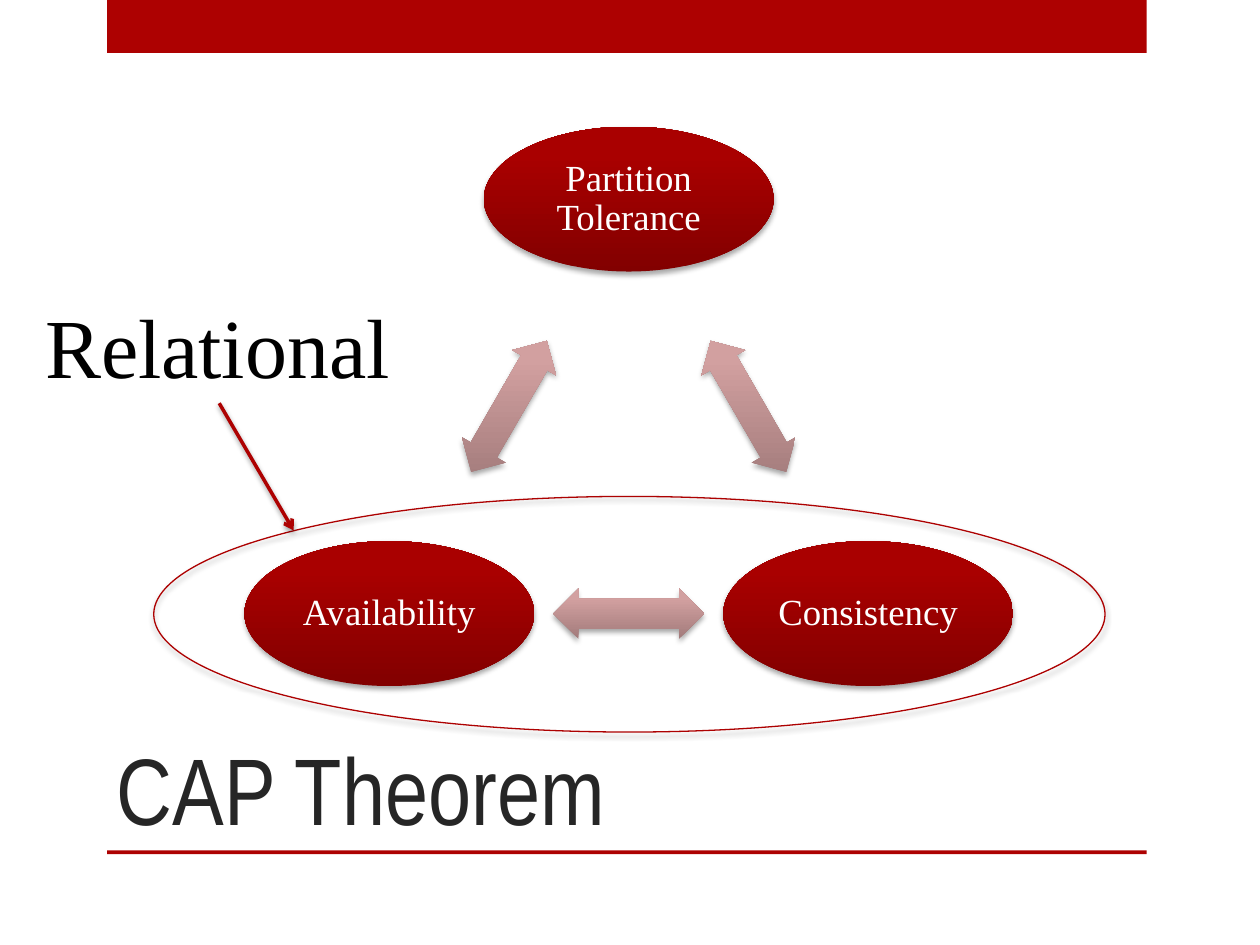
import math
import pptx
import pptx.util
import pptx.dml.color
import pptx.enum.shapes
import pptx.enum.text
import pptx.oxml
import pptx.oxml.ns

Inches = pptx.util.Inches
Pt = pptx.util.Pt
SHAPE = pptx.enum.shapes.MSO_SHAPE
ANCHOR = pptx.enum.text.MSO_ANCHOR
ALIGN = pptx.enum.text.PP_ALIGN
NS = pptx.oxml.ns.nsdecls("a")

COLORS = {
    "red": "AD0101", "ink": "262626", "black": "000000", "white": "FFFFFF",
    "deep": "820000", "bright": "A90000",
    "dusk": "A27B7B", "rose": "D2A0A0", "blush": "D4A0A0",
}


class Deck:
    """Holds the style and the current slide."""

    serif = "Times New Roman"
    narrow = "Arial Narrow"

    def __init__(self, width, height):
        self.file = pptx.Presentation()
        self.file.slide_width = Inches(width)
        self.file.slide_height = Inches(height)
        self.slide = self.file.slides.add_slide(self.file.slide_layouts[6])

    def color(self, name):
        return pptx.dml.color.RGBColor.from_string(COLORS[name])

    def shade(self, shape, alpha=35, drop=1.8):
        """Soft shadow straight below the shape."""
        shape._element.spPr.append(pptx.oxml.parse_xml(
            f'<a:effectLst {NS}><a:outerShdw blurRad="{Pt(3.1)}" dist="{Pt(drop)}" '
            f'dir="5400000" rotWithShape="0"><a:srgbClr val="{COLORS["black"]}">'
            f'<a:alpha val="{alpha * 1000}"/></a:srgbClr></a:outerShdw></a:effectLst>'))

    def blend(self, shape, names):
        """Gradient from bottom to top that stays upright when turned."""
        stops = "".join(
            f'<a:gs pos="{spot * 1000}"><a:srgbClr val="{COLORS[name]}"/></a:gs>'
            for spot, name in zip((0, 80, 100), names))
        shape._element.spPr.find(pptx.oxml.ns.qn("a:prstGeom")).addnext(
            pptx.oxml.parse_xml(
                f'<a:gradFill {NS} rotWithShape="0"><a:gsLst>{stops}</a:gsLst>'
                f'<a:lin ang="16200000" scaled="0"/></a:gradFill>'))

    def shape(self, kind, left, top, width, height):
        item = self.slide.shapes.add_shape(
            kind, Inches(left), Inches(top), Inches(width), Inches(height))
        item.line.fill.background()
        return item

    def bar(self, left, top, width, height):
        item = self.shape(SHAPE.RECTANGLE, left, top, width, height)
        item.shadow.inherit = False
        item.fill.solid()
        item.fill.fore_color.rgb = self.color("red")

    def words(self, para, text, size, font, color):
        run = para.add_run()
        run.text = text
        run.font.size = Pt(size)
        run.font.name = font
        run.font.color.rgb = self.color(color)

    def label(self, text, left, top, width, height, size, font, color,
              anchor=ANCHOR.TOP, wrap=True):
        box = self.slide.shapes.add_textbox(
            Inches(left), Inches(top), Inches(width), Inches(height))
        frame = box.text_frame
        frame.word_wrap = wrap
        frame.vertical_anchor = anchor
        self.words(frame.paragraphs[0], text, size, font, color)

    def node(self, text, mid, width=2.3, height=1.15):
        x, y = mid
        item = self.shape(SHAPE.OVAL, x - width / 2, y - height / 2, width, height)
        self.blend(item, ("deep", "bright", "bright"))
        self.shade(item)
        frame = item.text_frame
        frame.word_wrap = True
        frame.vertical_anchor = ANCHOR.MIDDLE
        frame.margin_left = frame.margin_right = Inches(0.09)
        frame.margin_top = frame.margin_bottom = Inches(0.09)
        para = frame.paragraphs[0]
        para.alignment = ALIGN.CENTER
        para.line_spacing = 0.9
        self.words(para, text, 21, self.serif, "white")

    def arrow(self, start, end, width=1.2, height=0.4):
        """Double arrow halfway between two nodes, turned along their line."""
        (ax, ay), (bx, by) = start, end
        item = self.shape(SHAPE.LEFT_RIGHT_ARROW, (ax + bx - width) / 2,
                          (ay + by - height) / 2, width, height)
        item.adjustments[0] = 0.6
        item.adjustments[1] = 0.5
        item.rotation = round(math.degrees(math.atan2(by - ay, bx - ax))) % 360
        self.blend(item, ("dusk", "rose", "blush"))
        self.shade(item)

    def ring(self, left, top, width, height):
        item = self.shape(SHAPE.OVAL, left, top, width, height)
        item.fill.background()
        item.line.color.rgb = self.color("red")
        item.line.width = Pt(0.75)
        self.shade(item)

    def pointer(self, start, end):
        item = self.slide.shapes.add_connector(
            pptx.enum.shapes.MSO_CONNECTOR.STRAIGHT,
            *(Inches(n) for n in start + end))
        item.line.color.rgb = self.color("red")
        item.line.width = Pt(2)
        item.line._get_or_add_ln().append(
            pptx.oxml.parse_xml(f'<a:tailEnd {NS} type="arrow"/>'))
        self.shade(item, 38, 1.6)


def main():
    deck = Deck(10, 7.5)

    # Frame and title
    deck.bar(0.85, 0, 8.25, 0.42)
    deck.bar(0.85, 6.75, 8.25, 0.03)
    deck.label("CAP Theorem", 0.83, 5, 7.42, 1.75, 54, deck.narrow, "ink",
               ANCHOR.BOTTOM)

    # Triangle of nodes, each joined to the next
    x, top, low, half = 4.99, 1.58, 4.87, 1.9
    nodes = {
        "Partition Tolerance": (x, top),
        "Consistency": (x + half, low),
        "Availability": (x - half, low),
    }
    spots = list(nodes.values())
    for text, mid in nodes.items():
        deck.node(text, mid)
    for start, end in zip(spots, spots[1:] + spots[:1]):
        deck.arrow(start, end)

    # Callout for the lower pair
    deck.label("Relational", 0.26, 2.29, 2.97, 0.91, 48, deck.serif, "black",
               wrap=False)
    deck.ring(1.22, 3.94, 7.55, 1.87)
    deck.pointer((1.74, 3.2), (2.33, 4.21))

    deck.file.save("out.pptx")


if __name__ == "__main__":
    main()
